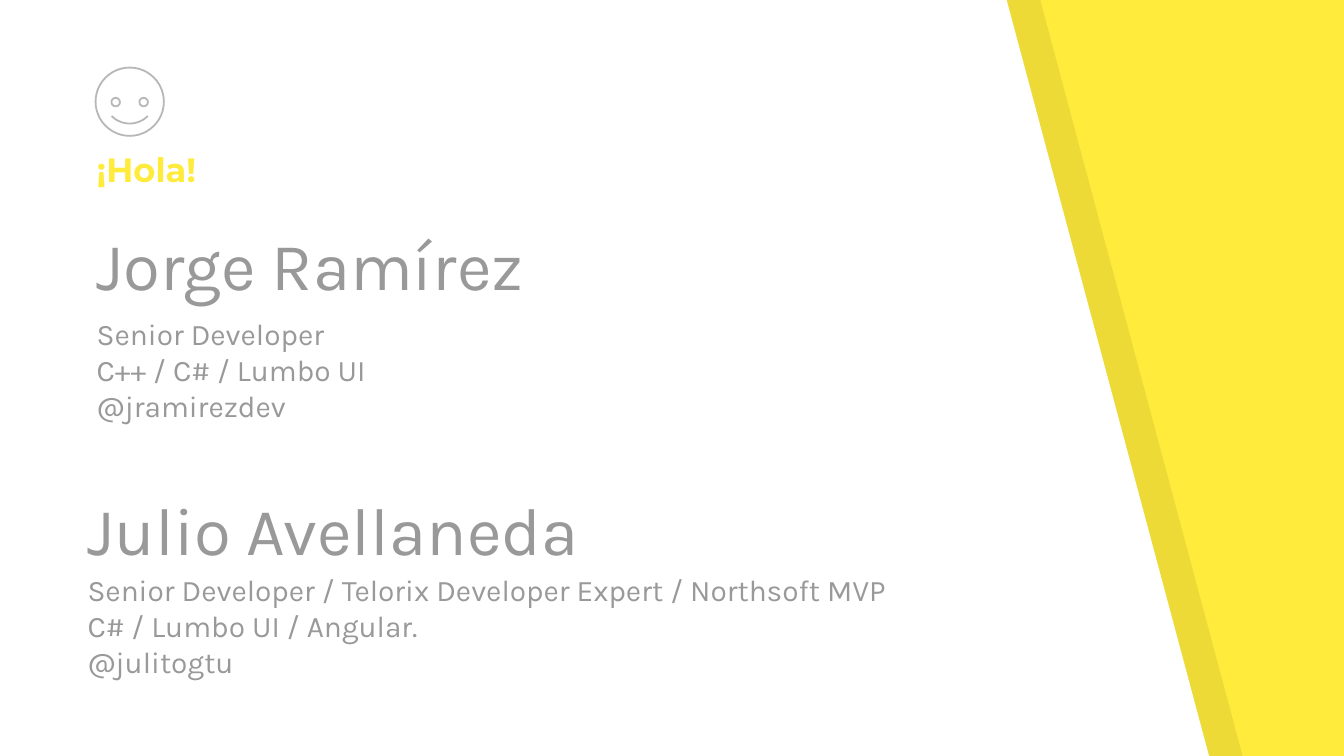
from dataclasses import dataclass
from math import cos, radians, sin

from lxml import etree
from pptx import Presentation
from pptx.dml.color import RGBColor
from pptx.enum.shapes import MSO_SHAPE
from pptx.enum.text import MSO_ANCHOR, MSO_AUTO_SIZE, PP_ALIGN
from pptx.oxml.ns import qn
from pptx.util import Pt

OVAL = MSO_SHAPE.OVAL
TOP, BOTTOM = MSO_ANCHOR.TOP, MSO_ANCHOR.BOTTOM
LEFT = PP_ALIGN.LEFT
NO_AUTOFIT = MSO_AUTO_SIZE.NONE
WIDTH, HEIGHT = 720, 405
TWO_CONTENT = 3


@dataclass(frozen=True)
class Style:
    """Font, size, colour and weight of one kind of text."""
    font: str
    size: float
    color: RGBColor
    bold: bool = False


@dataclass(frozen=True)
class Theme:
    """Colours and type styles of the slide."""
    yellow: RGBColor = RGBColor(0xFF, 0xEB, 0x3B)
    white: RGBColor = RGBColor(0xFF, 0xFF, 0xFF)
    black: RGBColor = RGBColor(0, 0, 0)
    outline: RGBColor = RGBColor(0xB7, 0xB7, 0xB7)
    greeting: Style = Style("Montserrat", 18, RGBColor(0xFF, 0xEB, 0x3B), True)
    name: Style = Style("Karla", 36, RGBColor(0x99, 0x99, 0x99))
    details: Style = Style("Karla", 16, RGBColor(0x99, 0x99, 0x99))


THEME = Theme()


def add_outline(shapes, points, close):
    """Add a freeform through the points and return it."""
    start, *rest = [(Pt(x), Pt(y)) for x, y in points]
    builder = shapes.build_freeform(*start)
    builder.add_line_segments(rest, close=close)
    shape = builder.convert_to_shape()
    shape.shadow.inherit = False
    return shape


def add_panel(shapes, offset, color, opacity=100):
    """Add a slanted panel that starts at the given offset."""
    corners = [(offset, 0), (offset, HEIGHT), (offset + 647.7, HEIGHT), (offset + 539.3, 0)]
    panel = add_outline(shapes, corners, True)
    panel.fill.solid()
    panel.fill.fore_color.rgb = color
    panel.line.fill.background()
    if opacity < 100:
        color_element = panel.fill._xPr.find(qn("a:solidFill"))[0]
        etree.SubElement(color_element, qn("a:alpha")).set("val", str(opacity * 1000))


def draw_line(shape):
    """Give a shape the thin icon outline and no fill."""
    shape.fill.background()
    shape.line.color.rgb = THEME.outline
    shape.line.width = Pt(0.96)


def add_circle(shapes, center_x, center_y, radius):
    """Add an outlined circle."""
    circle = shapes.add_shape(OVAL, Pt(center_x - radius), Pt(center_y - radius),
                              Pt(2 * radius), Pt(2 * radius))
    circle.shadow.inherit = False
    draw_line(circle)


def add_smiley(slide, center_x, center_y):
    """Add the grouped smiling face."""
    shapes = slide.shapes.add_group_shape().shapes
    add_circle(shapes, center_x, center_y, 18.3)
    for side in (-1, 1):
        add_circle(shapes, center_x + side * 7.5, center_y + 0.2, 2.3)
    angles = [radians(degrees) for degrees in range(45, 136, 5)]
    smile = [(center_x + 13.7 * cos(angle), center_y - 2 + 13.7 * sin(angle)) for angle in angles]
    draw_line(add_outline(shapes, smile, False))


def write_text(shape, box, text, style, anchor=TOP):
    """Place a text shape in front and write its formatted paragraphs."""
    shape.left, shape.top, shape.width, shape.height = [Pt(value) for value in box]
    shape.element.getparent().append(shape.element)
    frame = shape.text_frame
    frame.text = text
    frame.word_wrap = True
    frame.auto_size = NO_AUTOFIT
    frame.vertical_anchor = anchor
    frame.margin_left = frame.margin_right = frame.margin_top = frame.margin_bottom = Pt(7.2)
    for paragraph in frame.paragraphs:
        paragraph.alignment = LEFT
        paragraph.space_before = paragraph.space_after = Pt(0)
        paragraph.line_spacing = 1.0
        properties = paragraph._p.get_or_add_pPr()
        properties.set("marL", "0")
        properties.set("indent", "0")
        etree.SubElement(properties, qn("a:buNone"))
        for run in paragraph.runs:
            run.font.name = style.font
            run.font.size = Pt(style.size)
            run.font.bold = style.bold
            run.font.color.rgb = style.color


def add_text_box(slide, box, text, style):
    """Add a text box with formatted text."""
    write_text(slide.shapes.add_textbox(0, 0, 0, 0), box, text, style)


def main():
    """Build and save the speaker slide."""
    presentation = Presentation()
    presentation.slide_width, presentation.slide_height = Pt(WIDTH), Pt(HEIGHT)
    slide = presentation.slides.add_slide(presentation.slide_layouts[TWO_CONTENT])
    slide.background.fill.solid()
    slide.background.fill.fore_color.rgb = THEME.yellow
    add_panel(slide.shapes, 18, THEME.black, 7)
    add_panel(slide.shapes, 0, THEME.white)

    title, first_name, first_details = slide.placeholders
    write_text(title, (44.6, 17.3, 357, 91.4), "¡Hola!", THEME.greeting, BOTTOM)
    write_text(first_name, (44.6, 112.3, 357, 62), "Jorge Ramírez", THEME.name)
    write_text(first_details, (44.6, 162, 487.4, 79.2),
               "Senior Developer\nC++ / C# / Lumbo UI\n@jramirezdev", THEME.details)
    add_smiley(slide, 69.5, 54.5)
    add_text_box(slide, (39.8, 254.2, 357, 62), "Julio Avellaneda", THEME.name)
    add_text_box(slide, (39.8, 299.3, 473.8, 79.2),
                 "Senior Developer / Telorix Developer Expert / Northsoft MVP\n"
                 "C# / Lumbo UI / Angular.\n@julitogtu", THEME.details)
    presentation.save("out.pptx")


main()
